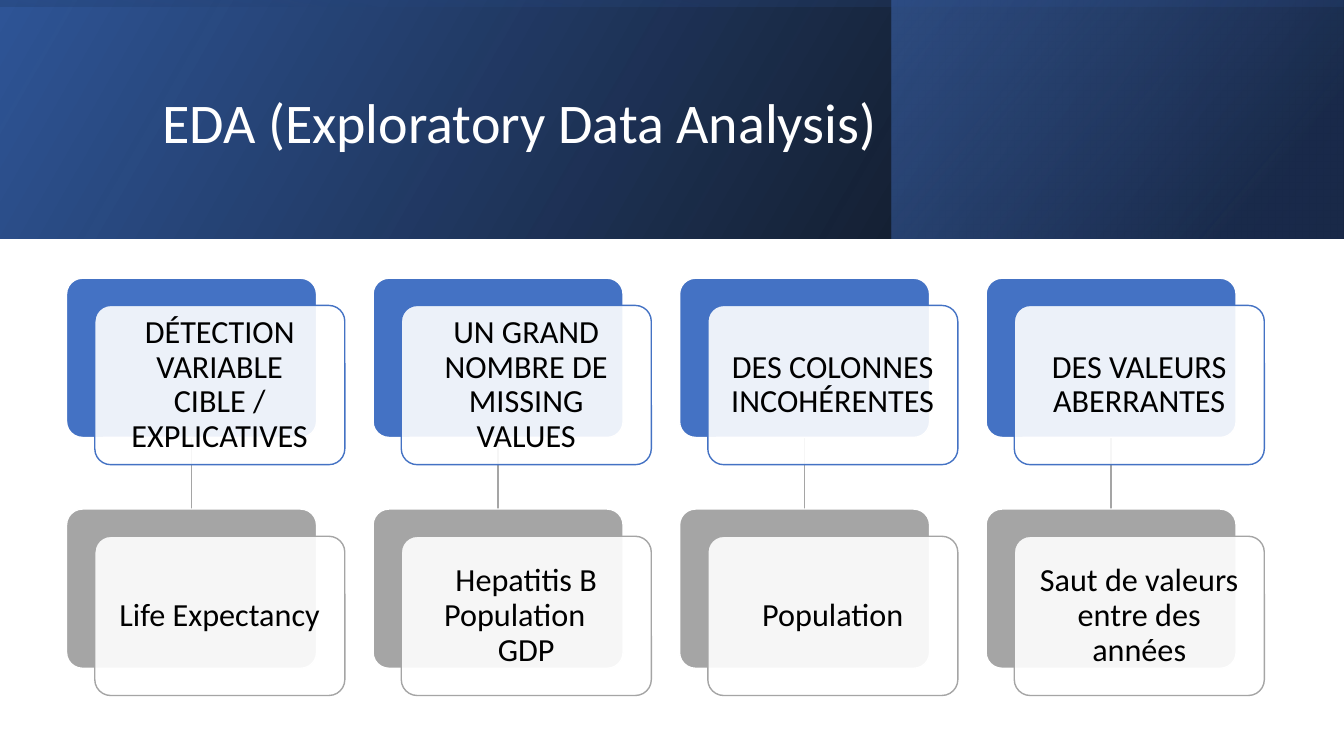
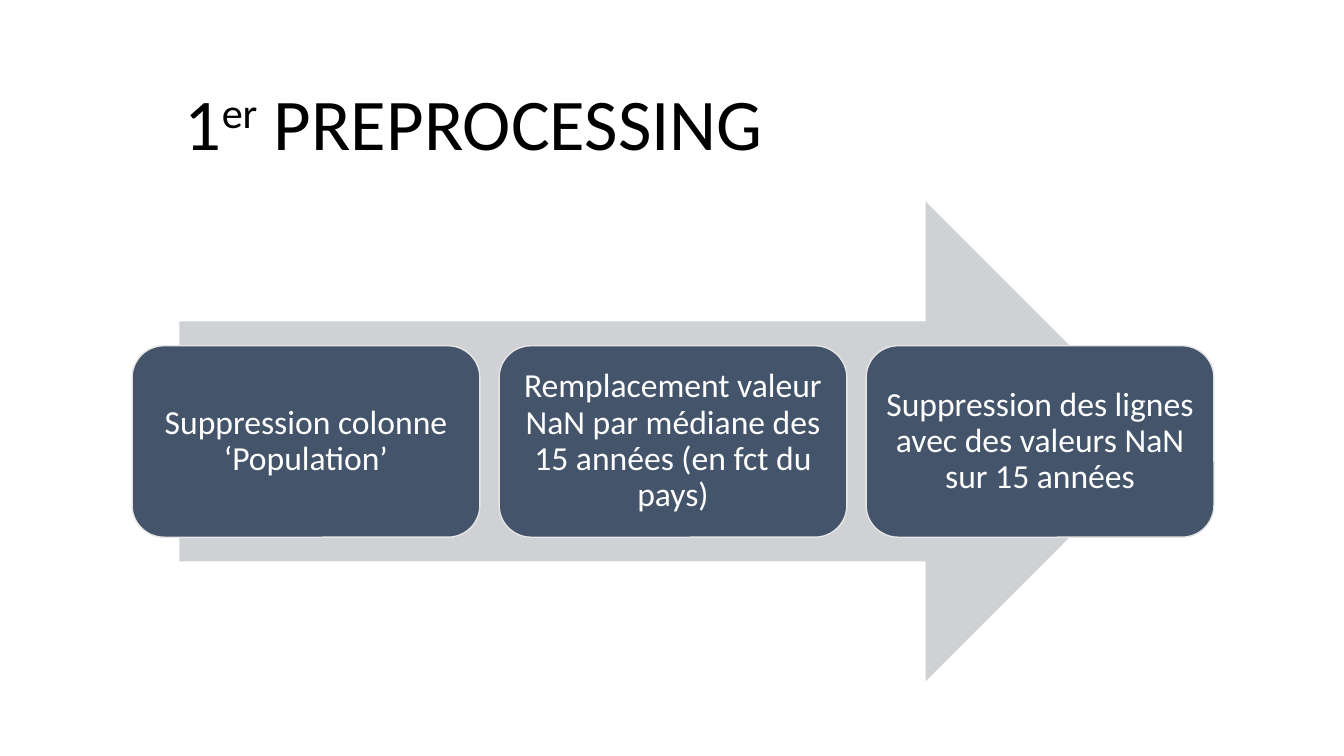
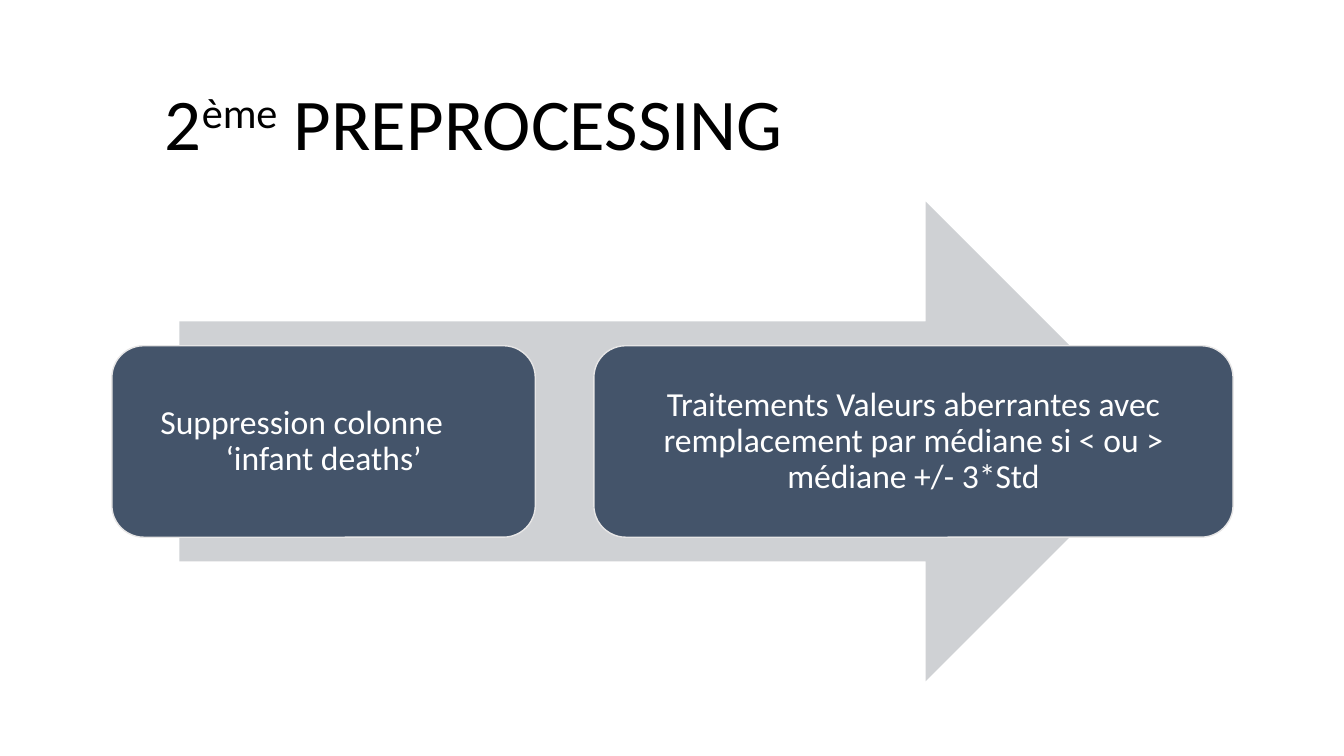
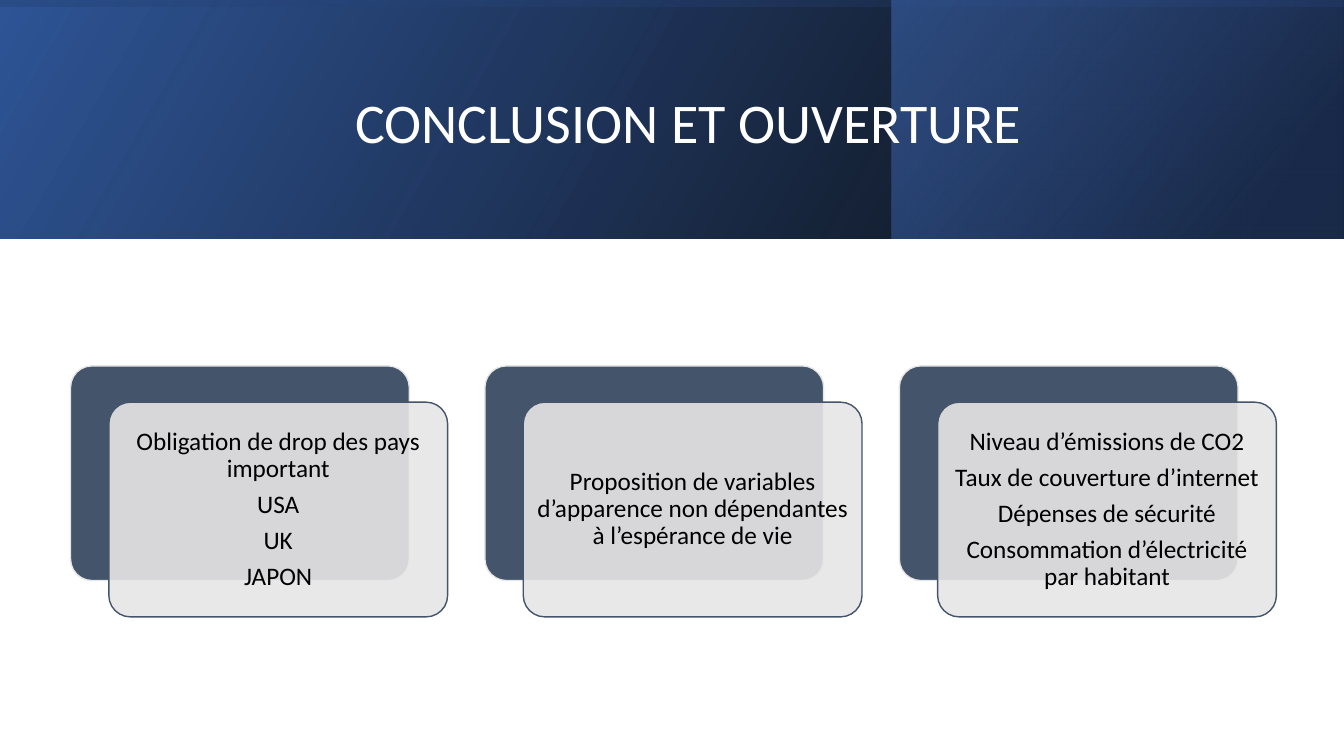
import typing
import pptx
import pptx.dml.color
import pptx.enum.shapes
import pptx.enum.text
import pptx.oxml.ns
import pptx.oxml.xmlchemy
import pptx.presentation
import pptx.shapes.autoshape
import pptx.slide
import pptx.text.text
import pptx.util

Inches = pptx.util.Inches
Pt = pptx.util.Pt
Kind = pptx.enum.shapes.MSO_SHAPE
Align = pptx.enum.text.PP_ALIGN
Slide = pptx.slide.Slide
Shape = pptx.shapes.autoshape.Shape
qn = pptx.oxml.ns.qn

FONT = "Calibri"
COLORS = {
    "white": "FFFFFF", "black": "000000", "blue": "4472C4",
    "royal": "2F5597", "navy": "203864", "slate": "44546A",
    "gray": "A5A5A5", "pale": "E7E6E6", "arrow": "CFD1D4",
}


class Box(typing.NamedTuple):
    left: float
    top: float
    width: float
    height: float


class Stop(typing.NamedTuple):
    place: float
    color: str
    alpha: int


class Band(typing.NamedTuple):
    box: Box
    stops: tuple[Stop, Stop]
    angle: int  # counterclockwise
    turn: int = 0


class Line(typing.NamedTuple):
    text: str
    indent: float = 0  # left-aligned when set
    tight: bool = False


class Look(typing.NamedTuple):
    back: str
    edge: str
    front: str
    shift: tuple[float, float]
    size: float
    inset: float


class Pair(typing.NamedTuple):
    top: Line | tuple[Line, ...]
    low: Line | tuple[Line, ...]


BANDS = (
    Band(Box(0, 0, 13.33, 2.37),
         (Stop(0, "black", 96), Stop(1, "royal", 100)), 30),
    Band(Box(8.84, 0, 4.48, 2.37),
         (Stop(0.19, "navy", 68), Stop(1, "blue", 48)), 40),
    Band(Box(5.48, -5.48, 2.37, 13.33),
         (Stop(0.23, "royal", 16), Stop(0.99, "black", 45)), 10, 270),
)
TOP = Look("blue", "white", "white", (0.28, 0.27), 23, 0.1)
LOW = TOP._replace(back="gray")
END = Look("slate", "pale", "pale", (0.38, 0.36), 18, 0.07)

ISSUES = (
    ((Line("DÉTECTION VARIABLE CIBLE / EXPLICATIVES"),),
     (Line("Life Expectancy"),)),
    ((Line("UN GRAND NOMBRE DE MISSING VALUES"),),
     (Line("Hepatitis B", tight=True), Line("Population", 0.28, True),
      Line("GDP"))),
    ((Line("DES COLONNES INCOHÉRENTES"),), (Line("Population"),)),
    ((Line("DES VALEURS ABERRANTES"),),
     (Line("Saut de valeurs entre des années"),)),
)
FIRST = (
    (3.45, (Line("Suppression colonne ‘Population’"),)),
    (3.45, (Line("Remplacement valeur NaN par médiane des 15 années "
                 "(en fct du pays)"),)),
    (3.45, (Line("Suppression des lignes avec des valeurs NaN "
                 "sur 15 années"),)),
)
SECOND = (
    (4.2, (Line("Suppression colonne", 0.29, True), Line("‘infant deaths’"))),
    (6.34, (Line("Traitements Valeurs aberrantes avec remplacement par "
                 "médiane si < ou > médiane +/- 3*Std"),)),
)
POINTS = (
    (Line("Obligation de drop des pays important"), Line("USA"), Line("UK"),
     Line("JAPON")),
    (Line("Proposition de variables d’apparence non dépendantes "
          "à l’espérance de vie"),),
    (Line("Niveau d’émissions de CO2"), Line("Taux de couverture d’internet"),
     Line("Dépenses de sécurité"),
     Line("Consommation d’électricité par habitant")),
)


def rgb(name: str) -> pptx.dml.color.RGBColor:
    return pptx.dml.color.RGBColor.from_string(COLORS[name])


def fade(shape: Shape, alphas: typing.Iterable[int]) -> None:
    """Set the opacity, in percent, of each fill colour in turn."""
    for node, alpha in zip(shape._element.spPr.iter(qn("a:srgbClr")), alphas):
        if alpha < 100:
            mark = pptx.oxml.xmlchemy.OxmlElement("a:alpha")
            mark.set("val", str(alpha * 1000))
            node.append(mark)


def place(slide: Slide, kind: Kind, box: Box) -> Shape:
    shape = slide.shapes.add_shape(kind, *(Inches(v) for v in box))
    shape.shadow.inherit = False
    shape.line.fill.background()
    return shape


def block(slide: Slide, kind: Kind, box: Box, fill: str,
          edge: str | None = None, alpha: int = 100) -> Shape:
    shape = place(slide, kind, box)
    shape.fill.solid()
    shape.fill.fore_color.rgb = rgb(fill)
    fade(shape, [alpha])
    if edge:
        shape.line.color.rgb = rgb(edge)
        shape.line.width = Pt(1)
    return shape


def add_run(para: pptx.text.text._Paragraph, text: str, size: float,
            color: str) -> pptx.text.text._Run:
    run = para.add_run()
    run.text = text
    run.font.name = FONT
    run.font.size = Pt(size)
    run.font.color.rgb = rgb(color)
    return run


def write(shape: Shape, lines: typing.Sequence[Line], size: float,
          color: str, inset: float) -> None:
    frame = shape.text_frame
    frame.word_wrap = True
    frame.vertical_anchor = pptx.enum.text.MSO_ANCHOR.MIDDLE
    frame.margin_left = frame.margin_right = Inches(inset)
    frame.margin_top = frame.margin_bottom = Inches(inset)
    for i, line in enumerate(lines):
        para = frame.add_paragraph() if i else frame.paragraphs[0]
        para.alignment = Align.LEFT if line.indent else Align.CENTER
        para.line_spacing = 0.9
        para.space_after = Pt(0 if line.tight else round(0.35 * size, 1))
        if line.indent:
            para._p.get_or_add_pPr().set("marL", str(Inches(line.indent)))
        add_run(para, line.text, size, color)


def title(slide: Slide, box: Box, parts: typing.Sequence[str], size: float,
          color: str, align: Align = Align.CENTER) -> None:
    """Write the title; every second part is raised."""
    frame = slide.shapes.add_textbox(*(Inches(v) for v in box)).text_frame
    frame.word_wrap = True
    frame.vertical_anchor = pptx.enum.text.MSO_ANCHOR.MIDDLE
    para = frame.paragraphs[0]
    para.alignment = align
    para.line_spacing = 0.9
    for i, part in enumerate(parts):
        run = add_run(para, part, size, color)
        if i % 2:
            run.font._element.set("baseline", "30000")


def banner(slide: Slide) -> None:
    for band in BANDS:
        shape = place(slide, Kind.RECTANGLE, band.box)
        shape._element.spPr.find(qn("a:xfrm")).set("flipH", "1")
        shape.rotation = band.turn
        shape.fill.gradient()
        shape.fill.gradient_angle = band.angle
        for stop, item in zip(shape.fill.gradient_stops, band.stops):
            stop.color.rgb = rgb(item.color)
            stop.position = item.place
        fade(shape, [item.alpha for item in band.stops])


def card(slide: Slide, box: Box, look: Look,
         lines: typing.Sequence[Line]) -> Shape:
    """Draw a solid card with a translucent text card over it."""
    back = block(slide, Kind.ROUNDED_RECTANGLE, box, look.back, look.edge)
    over = box._replace(left=box.left + look.shift[0],
                        top=box.top + look.shift[1])
    front = block(slide, Kind.ROUNDED_RECTANGLE, over, look.front,
                  look.back, 90)
    for shape in (back, front):
        shape.adjustments[0] = 0.1
    write(front, lines, look.size, "black", look.inset)
    return back


def link(slide: Slide) -> pptx.shapes.connector.Connector:
    line = slide.shapes.add_connector(
        pptx.enum.shapes.MSO_CONNECTOR.STRAIGHT, 0, 0, 0, 0)
    line.line.color.rgb = rgb("gray")
    line.line.width = Pt(1)
    line._element.spPr.append(pptx.oxml.xmlchemy.OxmlElement("a:effectLst"))
    return line


def flow(slide: Slide, parts: typing.Sequence[str], left: float, gap: float,
         steps: typing.Sequence[tuple[float, tuple[Line, ...]]]) -> None:
    """Draw a title and a row of steps on a wide arrow."""
    title(slide, Box(-1.05, 0.64, 11.5, 1.24), parts, 52, "black")
    block(slide, Kind.RIGHT_ARROW, Box(1.78, 2, 9.78, 4.76), "arrow")
    for width, lines in steps:
        step = block(slide, Kind.ROUNDED_RECTANGLE,
                     Box(left, 3.43, width, 1.9), "slate", "pale")
        write(step, lines, 24, "white", 0.1)
        left += width + gap


def main() -> None:
    deck = pptx.Presentation()
    deck.slide_width, deck.slide_height = Inches(13.33), Inches(7.5)
    eda, one, two, end = (deck.slides.add_slide(deck.slide_layouts[6])
                          for _ in range(4))

    # Data analysis: issues above, variables below
    banner(eda)
    title(eda, Box(1.51, 0.38, 10.63, 1.72),
          ["EDA (Exploratory Data Analysis)"], 40, "white", Align.LEFT)
    for i, (issue, names) in enumerate(ISSUES):
        line = link(eda)
        box = Box(0.66 + 3.04 * i, 2.76, 2.48, 1.58)
        line.begin_connect(card(eda, box, TOP, issue), 2)
        line.end_connect(card(eda, box._replace(top=5.05), LOW, names), 0)

    # Preprocessing steps
    flow(one, ["1", "er", " PREPROCESSING"], 1.31, 0.19, FIRST)
    flow(two, ["2", "ème", " PREPROCESSING"], 1.11, 0.58, SECOND)

    # Conclusion
    banner(end)
    title(end, Box(0.98, 0.38, 11.69, 1.72), ["CONCLUSION ET OUVERTURE"],
          40, "white")
    for i, lines in enumerate(POINTS):
        card(end, Box(0.7 + 4.11 * i, 3.63, 3.36, 2.13), END, lines)

    deck.save("out.pptx")


if __name__ == "__main__":
    main()
